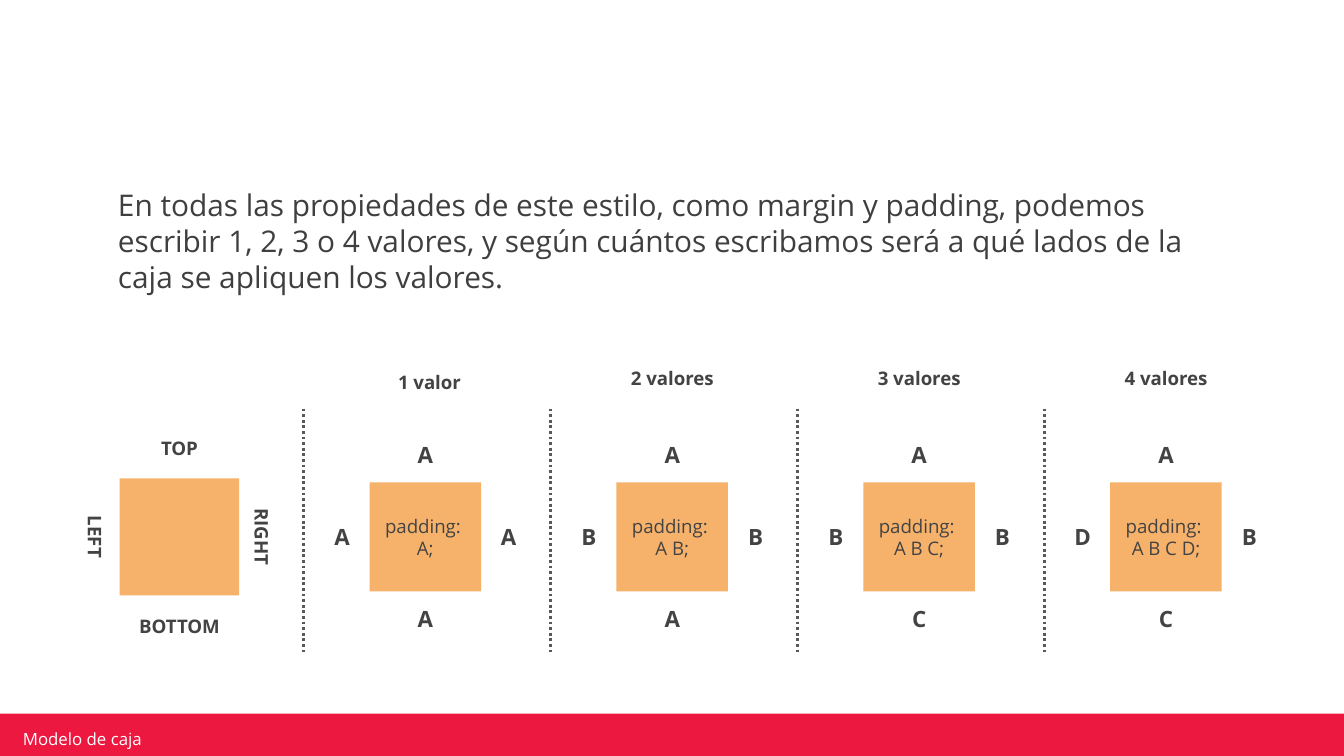
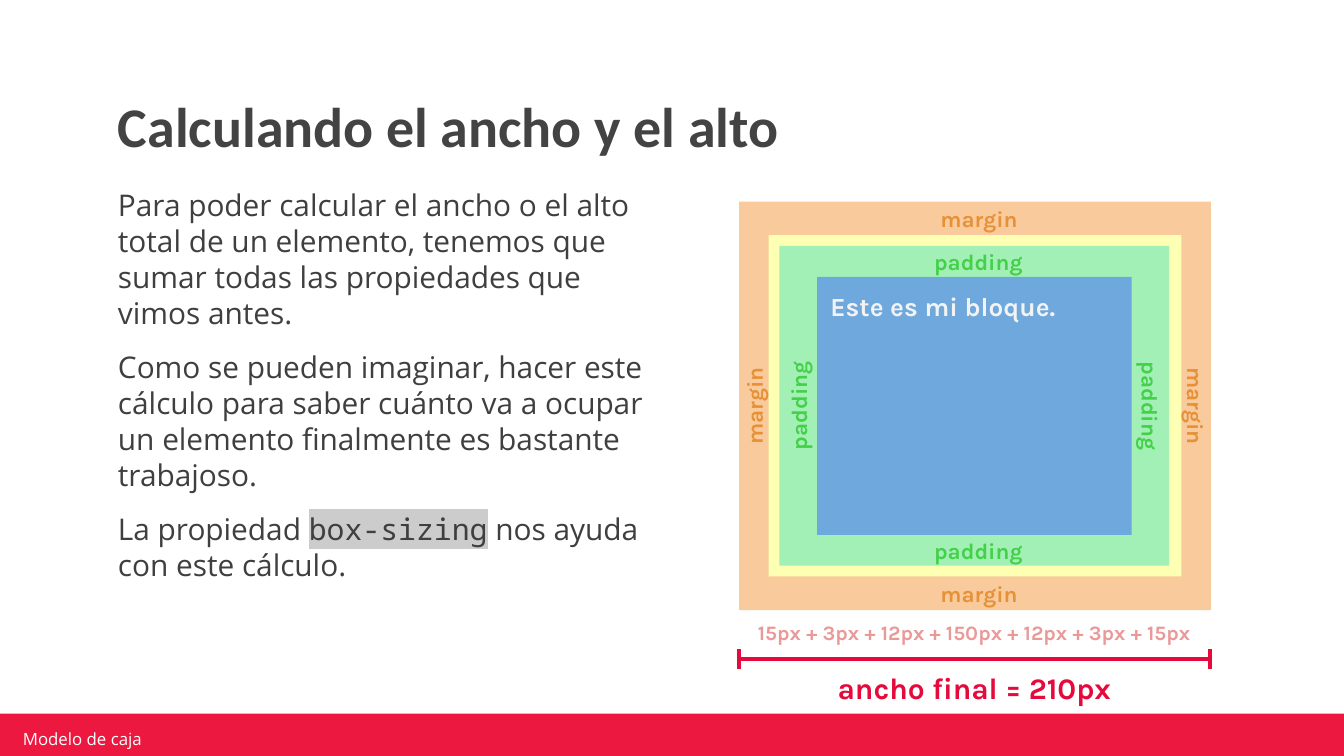
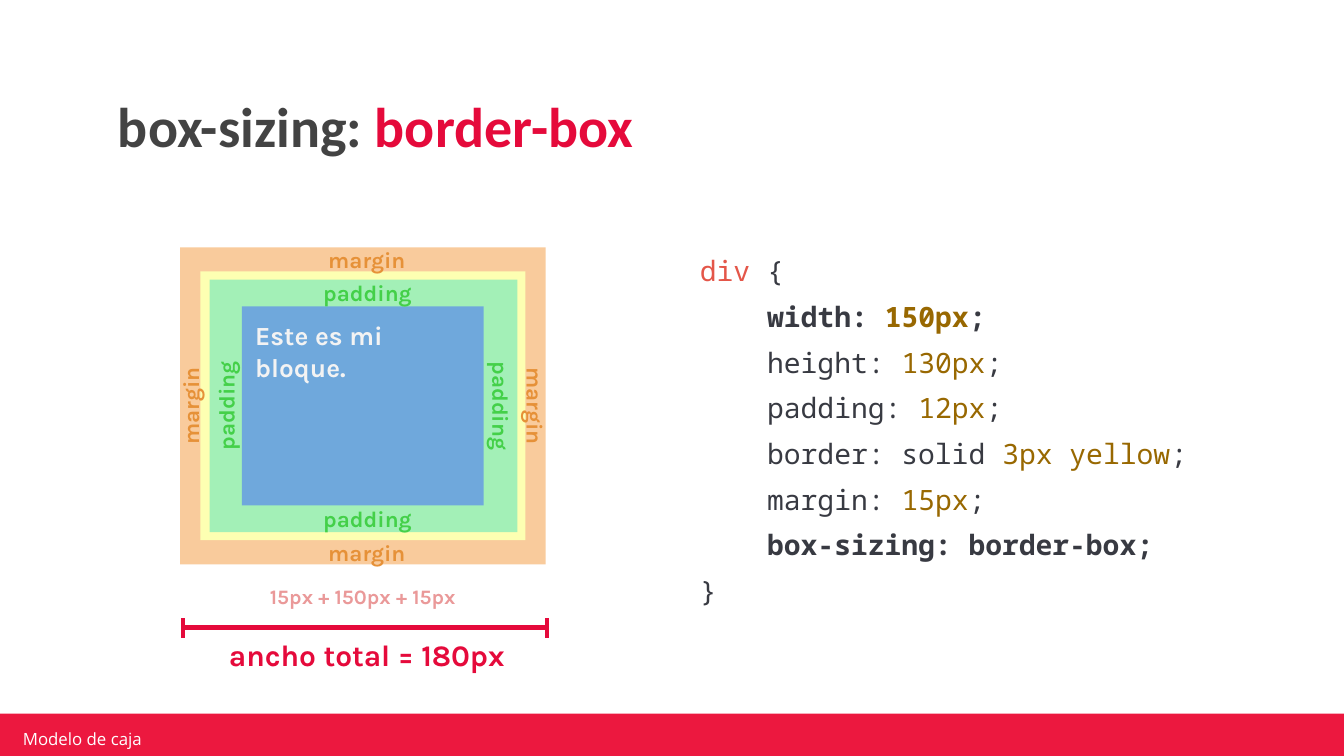
from collections import namedtuple

from lxml import etree
from pptx import Presentation
from pptx.dml.color import RGBColor
from pptx.enum.dml import MSO_LINE_DASH_STYLE as Dash
from pptx.enum.shapes import MSO_CONNECTOR_TYPE as Connector
from pptx.enum.shapes import MSO_SHAPE as Preset
from pptx.enum.text import MSO_VERTICAL_ANCHOR as Anchor
from pptx.enum.text import PP_PARAGRAPH_ALIGNMENT as Align
from pptx.oxml.ns import qn
from pptx.util import Emu, Inches, Pt

WIDTH, HEIGHT = Inches(10), Inches(5.625)
CELL = WIDTH // 100

RED, BAND_RED = "E50A3B", "EC183F"
INK, ORANGE = "434343", "F6B26B"
CODE_INK, CODE_VALUE, CODE_TAG = "383A42", "986801", "E45649"
LAYER_COLORS = ["F9CB9C", "FDFFB2", "A3F0B7", "6FA8DC"]

Style = namedtuple("Style", "size font color bold", defaults=[False])
Area = namedtuple("Area", "left top width height")

FOOTER = Style(9, "Open Sans", "FFFFFF")
TITLE = Style(30, "Calibri", INK, True)
BODY = Style(16, "Open Sans", "3F3F3F")
INLINE_CODE = Style(16, "Noto Sans Mono", "3F3F3F")
CAPTION = Style(10, "Open Sans", INK, True)
RULE = Style(10, "Open Sans", INK)
SIDE_VALUE = Style(12, "Open Sans", INK, True)
MARGIN = Style(12, "Karla", "E69138", True)
PADDING = Style(12, "Karla", "44D049", True)
CONTENT = Style(14, "Karla", "F3F3F3", True)
SUM = Style(11, "Karla", "EA9999", True)
TOTAL = Style(16, "Karla", RED, True)
CODE = Style(15, "Noto Sans Mono", CODE_INK)
VALUE = CODE._replace(color=CODE_VALUE)


def rgb(color):
    return RGBColor.from_string(color)


def grid(*cells):
    return [Emu(round(cell * CELL)) for cell in cells]


def format_span(span, style):
    span.font.size = Pt(style.size)
    span.font.name = style.font
    span.font.bold = style.bold
    span.font.color.rgb = rgb(style.color)


def highlight(span, color):
    mark = etree.Element(qn("a:highlight"))
    etree.SubElement(mark, qn("a:srgbClr")).set("val", color)
    span.font._element.find(qn("a:latin")).addprevious(mark)


def add_spans(para, spans):
    for text, style in spans:
        span = para.add_run()
        span.text = text
        format_span(span, style)


def set_frame(frame, anchor, inset_x=1, inset_y=1):
    frame.word_wrap = True
    frame.vertical_anchor = anchor
    frame.margin_left, frame.margin_right = grid(inset_x, inset_x)
    frame.margin_top, frame.margin_bottom = grid(inset_y, inset_y)


def write(frame, text, style, align=Align.LEFT):
    frame.text = text
    for para in frame.paragraphs:
        para.alignment = align
        for span in para.runs:
            format_span(span, style)


def add_text(page, area, anchor=Anchor.TOP, inset_x=1, inset_y=1):
    box = page.shapes.add_textbox(*grid(*area))
    set_frame(box.text_frame, anchor, inset_x, inset_y)
    return box


def add_label(page, text, style, x, y, width, height, turn=0, inset=1, anchor=Anchor.MIDDLE):
    area = Area(x - width / 2, y - height / 2, width, height)
    box = add_text(page, area, anchor, inset, inset)
    box.rotation = turn
    write(box.text_frame, text, style, Align.CENTER)


def add_block(page, area, color):
    block = page.shapes.add_shape(Preset.RECTANGLE, *grid(*area))
    block.shadow.inherit = False
    block.fill.solid()
    block.fill.fore_color.rgb = rgb(color)
    block.line.fill.background()
    return block


def add_line(shapes, start, end, color, weight, dash=None):
    line = shapes.add_connector(Connector.STRAIGHT, *grid(*start, *end))
    line.line.color.rgb = rgb(color)
    line.line.width = Pt(weight)
    if dash:
        line.line.dash_style = dash
    etree.SubElement(line._element.spPr, qn("a:effectLst"))


def add_page(deck):
    page = deck.slides.add_slide(deck.slide_layouts[6])
    add_block(page, Area(-0.2, 53.1, 100.3, 3.6), BAND_RED)
    footer = add_text(page, Area(1.2, 54.2, 23.9, 1.5), Anchor.MIDDLE, 0.5, 0.2)
    write(footer.text_frame, "Modelo de caja", FOOTER)
    return page


def add_title(page, *spans):
    title = add_text(page, Area(7.8, 6, 84.3, 6.9), Anchor.BOTTOM)
    para = title.text_frame.paragraphs[0]
    para.line_spacing = 0.9
    add_spans(para, spans)


def add_body(page, width, *paragraphs):
    frame = add_text(page, Area(7.8, 12.9, width, 13.6)).text_frame
    for index, spans in enumerate(paragraphs):
        para = frame.add_paragraph() if index else frame.paragraphs[0]
        para.space_before = Pt(10)
        add_spans(para, spans)
    return frame


def add_side_names(page):
    block = Area(8.9, 35.6, 8.9, 8.7)
    add_block(page, block, ORANGE)
    x, y = block.left + block.width / 2, block.top + block.height / 2
    for text, side_x, side_y, width, turn in [
        ("TOP", x, y - 6.6, 8.9, 0),
        ("LEFT", x - 6.25, y, 6.8, 90),
        ("BOTTOM", x, y + 6.6, 8.9, 0),
        ("RIGHT", x + 6.15, y, 6.8, 90),
    ]:
        add_label(page, text, CAPTION, side_x, side_y, width, 4.5, turn, inset=0)


def add_padding_case(page, column, heading, values, sides, nudge=0):
    divider = 22.6 + 18.37 * column
    add_line(page.shapes, (divider, 30.4), (divider, 48.5), "595959", 1.5, Dash.ROUND_DOT)
    block = Area(divider + 4.9, 35.9, 8.3, 8.1)
    rule = add_block(page, block, ORANGE)
    set_frame(rule.text_frame, Anchor.MIDDLE)
    write(rule.text_frame, f"padding: \n{values};", RULE, Align.CENTER)
    x, y = block.left + block.width / 2, block.top + block.height / 2
    add_label(page, heading, CAPTION, x + nudge, 28.15 + nudge, 8.9, 4.5, inset=0)
    spots = [(x, y - 6.15), (x + 6.2, y), (x, y + 6.1), (x - 6.2, y)]
    for letter, spot in zip(sides, spots):
        add_label(page, letter, SIDE_VALUE, *spot, 4.1, 4.1)


def add_ring_labels(page, text, style, outer, inner):
    x = outer.left + outer.width / 2 + 0.3
    y = outer.top + outer.height / 2
    across = inner.left - outer.left
    down = inner.top - outer.top
    right = outer.left + outer.width
    bottom = outer.top + outer.height
    for side_x, side_y, thickness, turn in [
        (x, outer.top + down / 2, down, 0),
        (x, bottom - down / 2, down, 0),
        (outer.left + across / 2, y, across, 270),
        (right - across / 2, y, across, 90),
    ]:
        add_label(page, text, style, side_x, side_y, 13, thickness, turn)


def add_box_model(page, layers):
    for layer, color in zip(layers, LAYER_COLORS):
        add_block(page, layer, color)
    margin, border, padding, content = layers
    add_ring_labels(page, "margin", MARGIN, margin, border)
    add_ring_labels(page, "padding", PADDING, padding, content)
    box = add_text(page, content._replace(height=3.4))
    write(box.text_frame, "Este es mi bloque.", CONTENT)


def add_measure(page, left, right, row):
    shapes = page.shapes.add_group_shape().shapes
    add_line(shapes, (left, row), (right, row), RED, 2.25)
    for end in (left, right):
        add_line(shapes, (end, row + 0.75), (end, row - 0.75), RED, 2.25)


def add_sum(page, text, style, x, y):
    add_label(page, text, style, x, y, 35.2, 3.4, anchor=Anchor.TOP)


def add_code(page, area, lines):
    frame = add_text(page, area).text_frame
    for index, (indent, spans) in enumerate(lines):
        para = frame.add_paragraph() if index else frame.paragraphs[0]
        para.line_spacing = 1.36
        para._p.get_or_add_pPr().set("marL", str(Pt(36) * indent))
        add_spans(para, spans)


def declaration(name, value, plain="", bold=False):
    ink, accent = CODE._replace(bold=bold), VALUE._replace(bold=bold)
    return 1, [(f"{name}: {plain}", ink), (value, accent), (";", ink)]


def build_values_page(deck):
    page = add_page(deck)
    add_body(page, 84.3, [(
        "En todas las propiedades de este estilo, como margin y padding, podemos "
        "escribir 1, 2, 3 o 4 valores, y según cuántos escribamos será a qué lados "
        "de la caja se apliquen los valores.", BODY)])
    add_side_names(page)
    add_padding_case(page, 0, "1 valor", "A", "AAAA", nudge=0.3)
    add_padding_case(page, 1, "2 valores", "A B", "ABAB")
    add_padding_case(page, 2, "3 valores", "A B C", "ABCB")
    add_padding_case(page, 3, "4 valores", "A B C D", "ABCD")


def build_size_page(deck):
    page = add_page(deck)
    add_title(page, ("Calculando el ancho y el alto", TITLE))
    frame = add_body(
        page, 42,
        [("Para poder calcular el ancho o el alto total de un elemento, tenemos "
          "que sumar todas las propiedades que vimos antes.", BODY)],
        [("Como se pueden imaginar, hacer este cálculo para saber cuánto va a "
          "ocupar un elemento finalmente es bastante trabajoso.", BODY)],
        [("La propiedad ", BODY), ("box-sizing", INLINE_CODE),
         (" nos ayuda con este cálculo.", BODY)])
    highlight(frame.paragraphs[2].runs[1], "CCCCCC")
    add_box_model(page, [
        Area(55, 15, 35.1, 30.4),
        Area(57.2, 17.5, 30.7, 25.4),
        Area(58, 18.3, 29, 23.8),
        Area(60.8, 20.6, 23.4, 19.2),
    ])
    add_sum(page, "15px + 3px + 12px + 150px + 12px + 3px + 15px", SUM, 72.5, 46.9)
    add_measure(page, 55, 90, 49.05)
    add_sum(page, "ancho final = 210px", TOTAL, 72.5, 50.5)


def build_border_box_page(deck):
    page = add_page(deck)
    add_title(page, ("box-sizing: ", TITLE), ("border-box", TITLE._replace(color=RED)))
    add_box_model(page, [
        Area(13.4, 18.4, 27.2, 23.6),
        Area(14.9, 20.2, 24.2, 20),
        Area(15.6, 20.8, 22.9, 18.8),
        Area(18, 22.8, 18, 14.8),
    ])
    add_sum(page, "15px + 150px + 15px", SUM, 27, 44.2)
    add_measure(page, 13.6, 40.7, 46.7)
    add_sum(page, "ancho total = 180px", TOTAL, 27.3, 48.1)
    add_code(page, Area(51.1, 17, 41, 32.8), [
        (0, [("div", CODE._replace(color=CODE_TAG)), (" {", CODE)]),
        declaration("width", "150px", bold=True),
        declaration("height", "130px"),
        declaration("padding", "12px"),
        declaration("border", "3px yellow", plain="solid "),
        declaration("margin", "15px"),
        (1, [("box-sizing: border-box;", CODE._replace(bold=True))]),
        (0, [("}", CODE)]),
    ])


def main():
    deck = Presentation()
    deck.slide_width, deck.slide_height = WIDTH, HEIGHT
    build_values_page(deck)
    build_size_page(deck)
    build_border_box_page(deck)
    deck.save("out.pptx")


if __name__ == "__main__":
    main()
